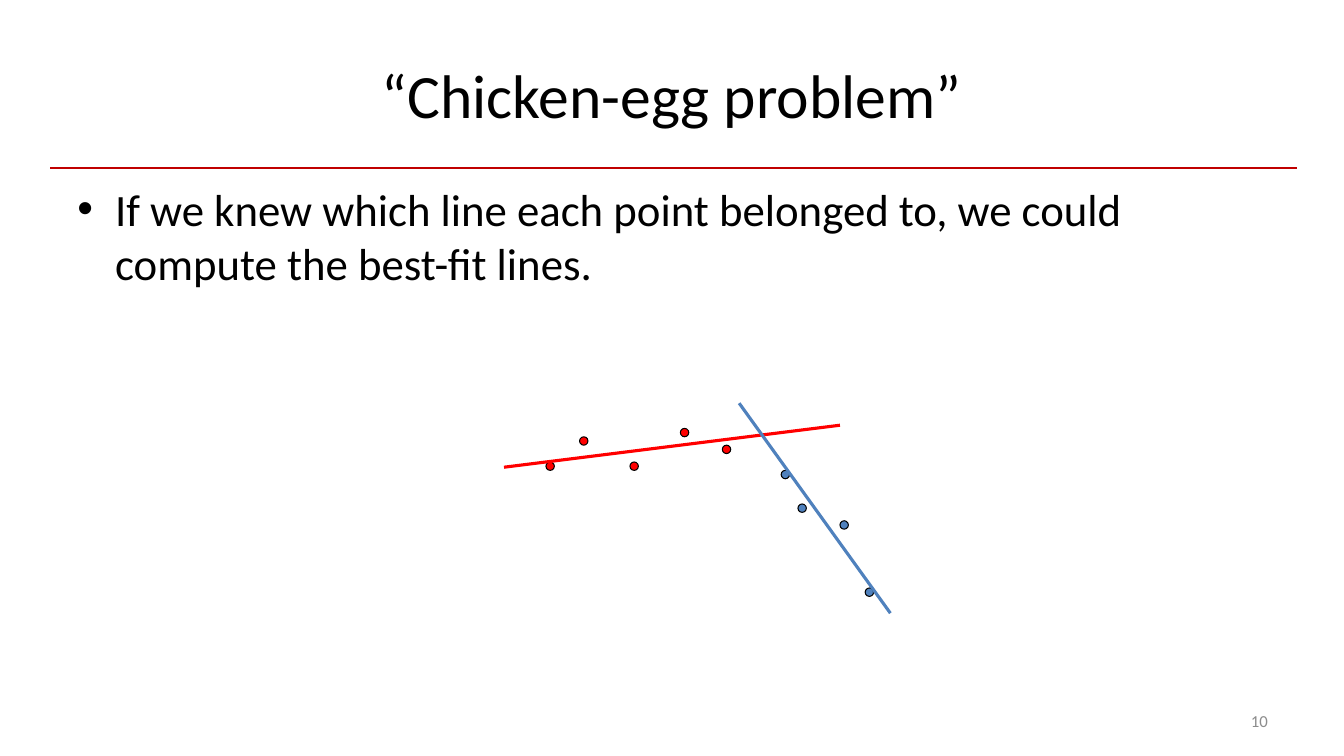
from pptx import Presentation
from pptx.dml.color import RGBColor as Rgb
from pptx.enum.shapes import MSO_CONNECTOR as Conn, MSO_SHAPE as Form
from pptx.enum.text import MSO_ANCHOR as Anchor, PP_ALIGN as Align
from pptx.oxml.ns import qn
from pptx.util import Pt
from lxml.etree import SubElement

SCALE = 9525
HUES = {"black": "000000", "gray": "8C8C8C", "rule": "C00000",
        "red": "FF0000", "blue": "4F81BD"}


class Deck:
    """Holds the style and current slide, and draws each kind of element."""

    def __init__(self, wide, high):
        self.font = "Calibri"
        self.show = Presentation()
        self.show.slide_width = wide * SCALE
        self.show.slide_height = high * SCALE
        self.slide = self.show.slides.add_slide(self.show.slide_layouts[1])

    def hue(self, name):
        return Rgb.from_string(HUES[name])

    def group(self):
        return self.slide.shapes.add_group_shape().shapes

    def letter(self, shape, text, size, hue, align, anchor):
        frame = shape.text_frame
        frame.text = text
        frame.word_wrap = True
        frame.vertical_anchor = anchor
        para = frame.paragraphs[0]
        para.alignment = align
        font = para.runs[0].font
        font.name, font.size = self.font, Pt(size)
        font.color.rgb = self.hue(hue)

    def holder(self, index, box, text, size, align, anchor):
        shape = self.slide.placeholders[index]
        shape.left, shape.top, shape.width, shape.height = [v * SCALE for v in box]
        self.letter(shape, text, size, "black", align, anchor)

    def label(self, box, text, size, hue, align):
        shape = self.slide.shapes.add_textbox(*[v * SCALE for v in box])
        self.letter(shape, text, size, hue, align, Anchor.MIDDLE)

    def line(self, home, ends, hue, width):
        link = home.add_connector(Conn.STRAIGHT, *[v * SCALE for v in ends])
        link.line.color.rgb = self.hue(hue)
        link.line.width = Pt(width)
        SubElement(link._element.spPr, qn("a:effectLst"))

    def dot(self, home, left, top, hue, size=8):
        shape = home.add_shape(Form.OVAL, *[v * SCALE for v in (left, top, size, size)])
        shape.shadow.inherit = False
        shape.fill.solid()
        shape.fill.fore_color.rgb = self.hue(hue)
        shape.line.color.rgb = self.hue("black")
        shape.line.width = Pt(0.75)


def main():
    deck = Deck(1280, 720)
    deck.line(deck.slide.shapes, (48, 160, 1235, 160), "rule", 2)
    deck.holder(0, (64, 29, 1152, 120), "“Chicken-egg problem”",
                44, Align.CENTER, Anchor.MIDDLE)
    deck.holder(1, (64, 168, 1152, 475),
                "If we knew which line each point belonged to, "
                "we could compute the best-fit lines.",
                32, Align.LEFT, Anchor.TOP)
    deck.label((918, 667, 299, 38), "10", 12, "gray", Align.RIGHT)

    points = {
        "red": [(520, 440), (552, 416), (600, 440), (648, 408), (688, 424)],
        "blue": [(744, 448), (760, 480), (800, 496), (824, 560)],
    }
    fits = {"red": (480, 445, 800, 405), "blue": (704, 384, 848, 584)}
    dots = deck.group()
    for hue, spots in points.items():
        for left, top in spots:
            deck.dot(dots, left, top, hue)
    lines = deck.group()
    for hue, ends in fits.items():
        deck.line(lines, ends, hue, 2.25)

    deck.show.save("out.pptx")


if __name__ == "__main__":
    main()
